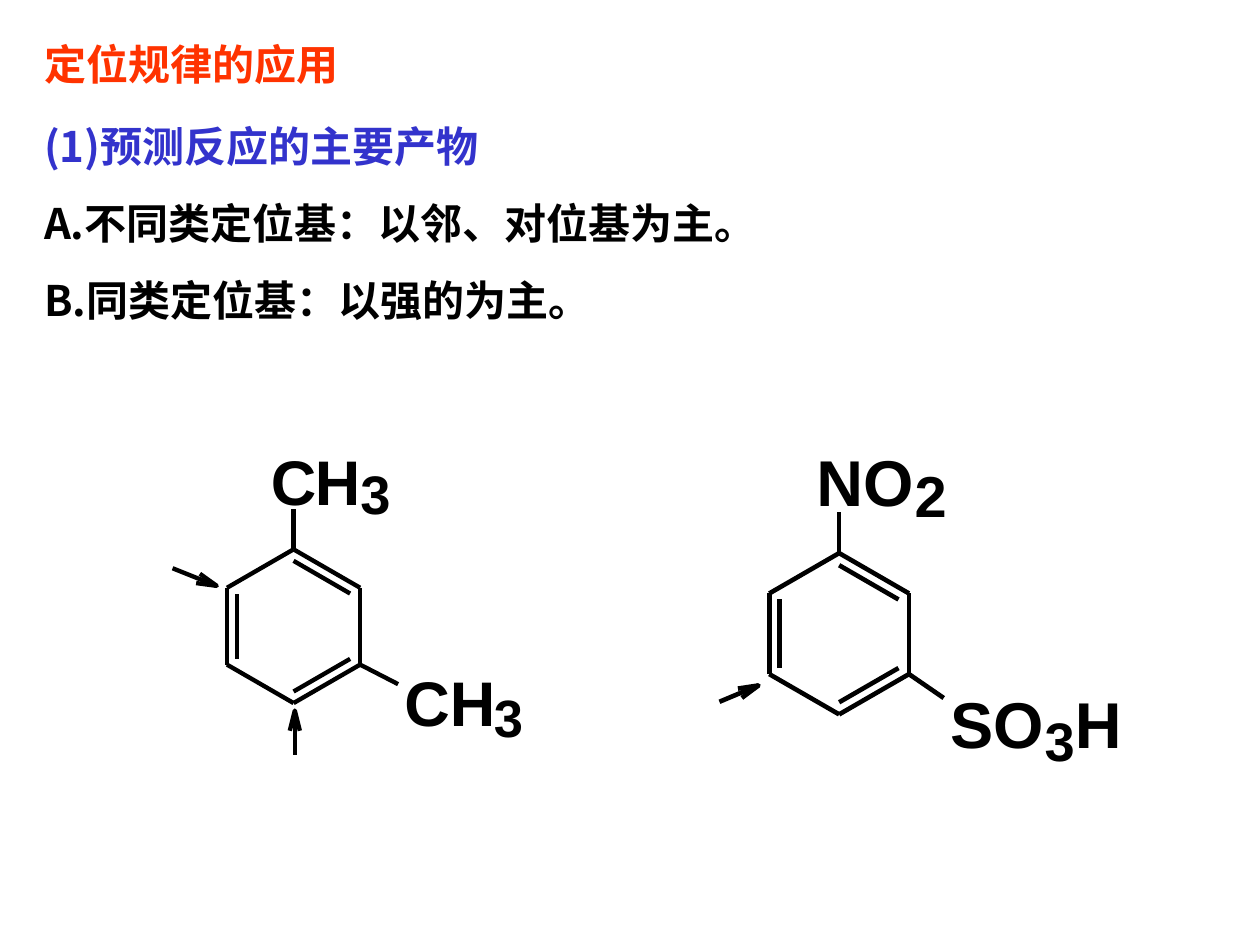
from dataclasses import dataclass
from math import cos, hypot, pi, sin

from lxml.etree import SubElement
from pptx import Presentation
from pptx.dml.color import RGBColor
from pptx.enum.text import MSO_ANCHOR, MSO_AUTO_SIZE, PP_ALIGN
from pptx.oxml.ns import qn
from pptx.util import Inches, Pt


@dataclass(frozen=True)
class Theme:
    red: RGBColor = RGBColor(0xFF, 0x33, 0x00)
    blue: RGBColor = RGBColor(0x33, 0x33, 0xCC)
    black: RGBColor = RGBColor(0, 0, 0)
    han: str = "Noto Sans CJK SC"
    latin: str = "Arial"
    text: int = 24
    lead: int = 29
    gap: int = 15


THEME = Theme()
HEAD = "定位规律的应用"
RULES = [
    ("(1)预测反应的主要产物", THEME.blue),
    ("A.不同类定位基：以邻、对位基为主。", THEME.black),
    ("B.同类定位基：以强的为主。", THEME.black),
]
XYLENE = {
    "center": (2.33, 4.97), "radius": 0.61, "width": 2.5,
    "labels": [
        ("C", 2.15, 3.51, 0.37, 36), ("H", 2.5, 3.51, 0.37, 36),
        ("3", 2.86, 3.65, 0.25, 31),
        ("C", 3.21, 5.27, 0.37, 36), ("H", 3.57, 5.27, 0.37, 36),
        ("3", 3.92, 5.44, 0.24, 30),
    ],
    "bonds": [(0, (2.33, 4.04)), (2, (3.16, 5.43))],
    "arrows": [((2.34, 5.99), (2.34, 5.64)), ((1.37, 4.51), (1.72, 4.65))],
}
ACID = {
    "center": (6.66, 5.03), "radius": 0.64, "width": 2.64,
    "labels": [
        ("NO", 6.48, 3.51, 0.8, 37), ("2", 7.26, 3.65, 0.27, 33),
        ("SO", 7.54, 5.43, 0.8, 37), ("3", 8.29, 5.61, 0.25, 31),
        ("H", 8.53, 5.43, 0.38, 37),
    ],
    "bonds": [(0, (6.66, 4.06)), (2, (7.49, 5.54))],
    "arrows": [((5.71, 5.57), (6.02, 5.44))],
}


def apply(item, **values):
    for name, value in values.items():
        setattr(item, name, value)


def write(para, text, size, color, face):
    run = para.add_run()
    run.text = text
    apply(run.font, size=Pt(size), bold=True, name=face)
    run.font.color.rgb = color
    SubElement(run.font._element, qn("a:ea")).set("typeface", face)


def fill_holder(holder, top, height, lines):
    apply(holder, left=Inches(0.25), top=Inches(top),
          width=Inches(6.4), height=Inches(height))
    frame = holder.text_frame
    apply(frame, word_wrap=True, auto_size=MSO_AUTO_SIZE.NONE,
          vertical_anchor=MSO_ANCHOR.TOP)
    for index, (text, color) in enumerate(lines):
        para = frame.add_paragraph() if index else frame.paragraphs[0]
        props = para._p.get_or_add_pPr()
        props.set("marL", "0")
        props.set("indent", "0")
        SubElement(props, qn("a:buNone"))
        apply(para, alignment=PP_ALIGN.LEFT, line_spacing=Pt(THEME.lead),
              space_before=Pt(THEME.gap if index else 0), space_after=Pt(0))
        write(para, text, THEME.text, color, THEME.han)


def add_label(group, text, left, top, width, size):
    box = group.shapes.add_textbox(Inches(left), Inches(top),
                                   Inches(width), Pt(size * 1.2))
    frame = box.text_frame
    apply(frame, word_wrap=False, margin_left=0, margin_right=0,
          margin_top=0, margin_bottom=0)
    write(frame.paragraphs[0], text, size, THEME.black, THEME.latin)


def ink(shape, width):
    shape.line.width = Pt(width)
    shape.line.color.rgb = THEME.black


def add_line(group, start, end, width):
    line = group.shapes.add_connector(1, *map(Inches, (*start, *end)))
    ink(line, width)
    SubElement(line._element.spPr, qn("a:effectLst"))


def add_arrow(group, start, tip, width, size=0.16, half=0.04):
    add_line(group, start, tip, width)
    dx, dy = tip[0] - start[0], tip[1] - start[1]
    span = hypot(dx, dy)
    ux, uy = dx / span, dy / span
    left, right = [(tip[0] - size * ux - side * uy,
                    tip[1] - size * uy + side * ux) for side in (half, -half)]
    path = group.shapes.build_freeform(*map(Inches, left))
    path.add_line_segments([tuple(map(Inches, p)) for p in (tip, right)],
                           close=False)
    head = path.convert_to_shape()
    head.fill.background()
    head.shadow.inherit = False
    ink(head, width)


def ring(center, radius):
    return [(center[0] + radius * sin(i * pi / 3),
             center[1] - radius * cos(i * pi / 3)) for i in range(6)]


def add_ring(slide, center, radius, width, labels, bonds, arrows):
    group = slide.shapes.add_group_shape()
    for label in labels:
        add_label(group, *label)
    outer, inner = ring(center, radius), ring(center, radius * 0.85)
    for i in range(6):
        add_line(group, outer[i], outer[(i + 1) % 6], width)
        if i % 2 == 0:
            add_line(group, inner[i], inner[i + 1], width)
    for corner, end in bonds:
        add_line(group, outer[corner], end, width)
    for start, tip in arrows:
        add_arrow(group, start, tip, width)


def main():
    deck = Presentation()
    apply(deck, slide_width=Inches(10), slide_height=Inches(7.5))
    slide = deck.slides.add_slide(deck.slide_layouts[1])
    title, body = slide.placeholders
    fill_holder(title, 0.25, 0.5, [(HEAD, THEME.red)])
    fill_holder(body, 0.9, 1.73, RULES)
    for parts in (XYLENE, ACID):
        add_ring(slide, **parts)
    deck.save("out.pptx")


if __name__ == "__main__":
    main()
